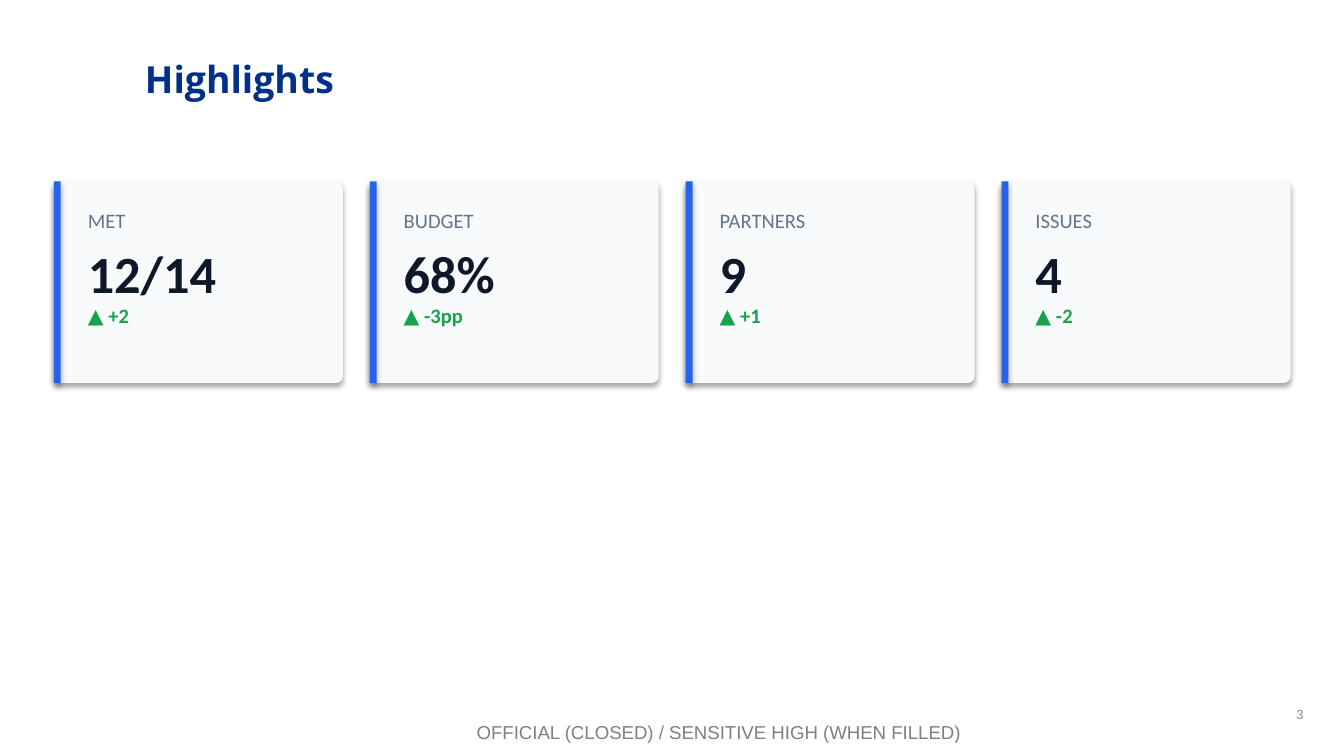
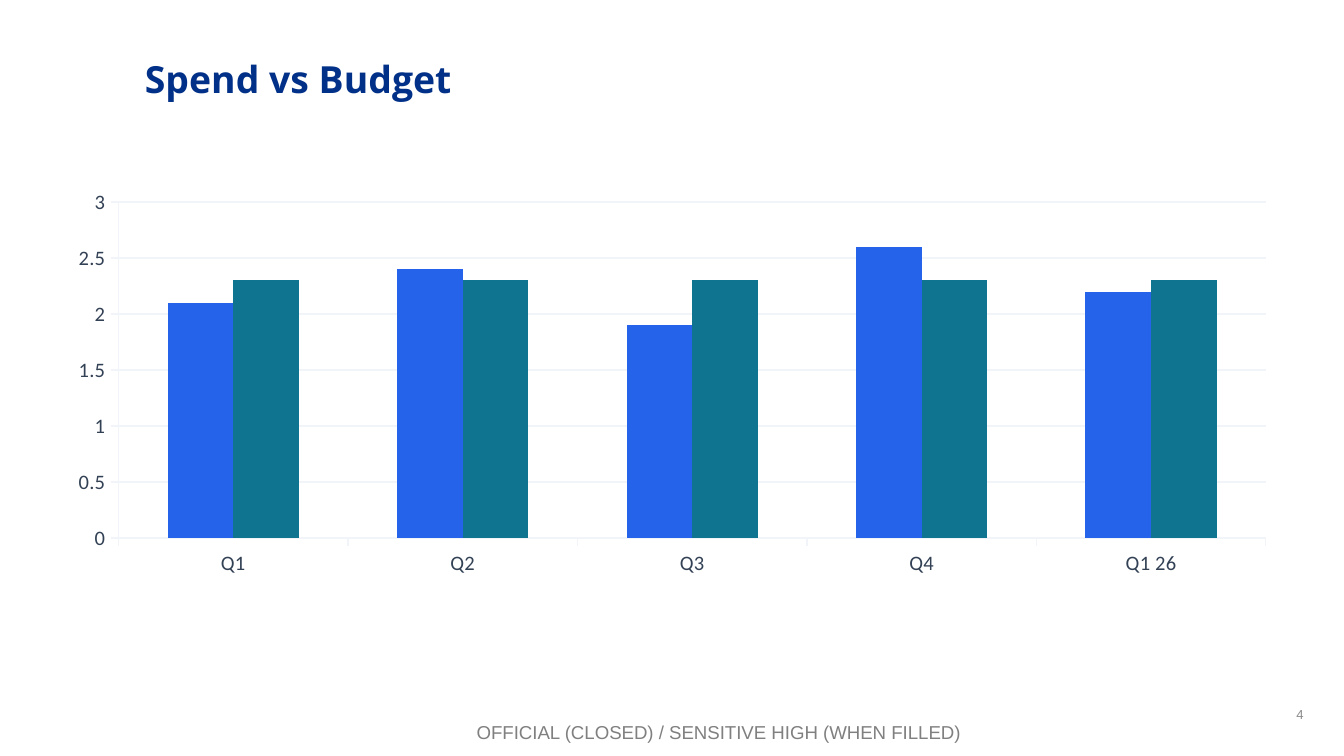
from pptx import Presentation
from pptx.chart.data import CategoryChartData
from pptx.dml.color import RGBColor
from pptx.enum.chart import XL_CHART_TYPE, XL_TICK_MARK
from pptx.enum.shapes import MSO_SHAPE
from pptx.enum.text import MSO_ANCHOR, MSO_AUTO_SIZE, PP_ALIGN
from pptx.util import Cm, Pt

NAVY = RGBColor(0x00, 0x30, 0x87)
BLUE = RGBColor(0x25, 0x63, 0xEB)
TEAL = RGBColor(0x0E, 0x74, 0x90)
GREEN = RGBColor(0x16, 0xA3, 0x4A)
INK = RGBColor(0x0F, 0x17, 0x2A)
SLATE = RGBColor(0x64, 0x74, 0x8B)
STEEL = RGBColor(0x33, 0x41, 0x55)
PALE = RGBColor(0xF8, 0xFA, 0xFC)
MIST = RGBColor(0xF1, 0xF5, 0xF9)
GREY = RGBColor(0x80, 0x80, 0x80)
ASH = RGBColor(0x8C, 0x8C, 0x8C)

LEFT, TOP = Cm(1.02), Cm(3.43)
WIDE = Cm(23.37)
FOOTER = "OFFICIAL (CLOSED) / SENSITIVE HIGH (WHEN FILLED)"


def text(slide, words, left, top, width, height, *, size, color, font="Calibri",
         bold=False, align=PP_ALIGN.LEFT, anchor=MSO_ANCHOR.TOP, grow=False, inset=True):
    box = slide.shapes.add_textbox(left, top, width, height)
    frame = box.text_frame
    frame.word_wrap = True
    frame.vertical_anchor = anchor
    frame.auto_size = MSO_AUTO_SIZE.SHAPE_TO_FIT_TEXT if grow else MSO_AUTO_SIZE.NONE
    if not inset:
        frame.margin_left = frame.margin_right = 0
        frame.margin_top = frame.margin_bottom = 0
    para = frame.paragraphs[0]
    para.alignment = align
    run = para.add_run()
    run.text = words
    run.font.name = font
    run.font.size = Pt(size)
    run.font.bold = bold
    run.font.color.rgb = color


def block(slide, kind, left, width, fill):
    """Add a filled card part that keeps the soft shadow of the theme."""
    shape = slide.shapes.add_shape(kind, left, TOP, width, Cm(3.81))
    shape.fill.solid()
    shape.fill.fore_color.rgb = fill
    shape.line.fill.background()
    return shape


deck = Presentation()
deck.slide_width, deck.slide_height = Cm(25.4), Cm(14.29)

# Shared title, page number and footer
slides = []
for page, title in enumerate(["Highlights", "Spend vs Budget"], start=3):
    slide = deck.slides.add_slide(deck.slide_layouts[6])
    text(slide, str(page), Cm(18.97), Cm(13.13), Cm(5.92), Cm(0.76), size=7, color=ASH,
         font="Arial", align=PP_ALIGN.RIGHT, anchor=MSO_ANCHOR.MIDDLE)
    text(slide, FOOTER, Cm(1.73), Cm(13.51), Cm(23.7), Cm(0.69), size=10, color=GREY,
         font="Arial", align=PP_ALIGN.CENTER, grow=True)
    text(slide, title, Cm(2.49), Cm(0.94), Cm(22), Cm(2.01), size=20, color=NAVY,
         font="Open Sans", bold=True)
    slides.append(slide)
high, spend = slides

# Highlights: one card per figure
cards = [
    ("MET", "12/14", "▲ +2"),
    ("BUDGET", "68%", "▲ -3pp"),
    ("PARTNERS", "9", "▲ +1"),
    ("ISSUES", "4", "▲ -2"),
]
gap = Cm(0.51)
width = (WIDE - gap * (len(cards) - 1)) // len(cards)
for i, (label, value, change) in enumerate(cards):
    left = LEFT + i * (width + gap)
    card = block(high, MSO_SHAPE.ROUNDED_RECTANGLE, left, width, PALE)
    card.adjustments[0] = 0.033
    block(high, MSO_SHAPE.RECTANGLE, left, Cm(0.13), BLUE)
    rows = [
        (label, 3.94, 0.64, 11, SLATE, False),
        (value, 4.57, 1.14, 28, INK, True),
        (change, 5.72, 0.64, 11, GREEN, True),
    ]
    for words, top, height, size, color, bold in rows:
        text(high, words, left + Cm(0.64), Cm(top), Cm(4.32), Cm(height), size=size,
             color=color, bold=bold, grow=True, inset=False)

# Spend vs Budget: clustered columns
data = CategoryChartData()
data.categories = ["Q1", "Q2", "Q3", "Q4", "Q1 26"]
data.add_series("Series 1", [2.1, 2.4, 1.9, 2.6, 2.2])
data.add_series("Series 2", [2.3] * 5)
chart = spend.shapes.add_chart(
    XL_CHART_TYPE.COLUMN_CLUSTERED, LEFT, TOP, WIDE, Cm(7.62), data).chart
chart.has_title = False
chart.has_legend = False
chart.font.name = "Calibri"
chart.font.size = Pt(11)
chart.font.color.rgb = STEEL

plot = chart.plots[0]
plot.vary_by_categories = False
plot.gap_width = 150
plot.overlap = 0
for series, color in zip(plot.series, [BLUE, TEAL]):
    series.format.fill.solid()
    series.format.fill.fore_color.rgb = color

scale = chart.value_axis
scale.minimum_scale, scale.maximum_scale, scale.major_unit = 0, 3, 0.5
scale.has_major_gridlines = True
for axis in (chart.category_axis, scale):
    axis.major_tick_mark = XL_TICK_MARK.OUTSIDE
for part in (chart.category_axis, scale, scale.major_gridlines):
    part.format.line.color.rgb = MIST
    part.format.line.width = Pt(0.75)

deck.save("out.pptx")
